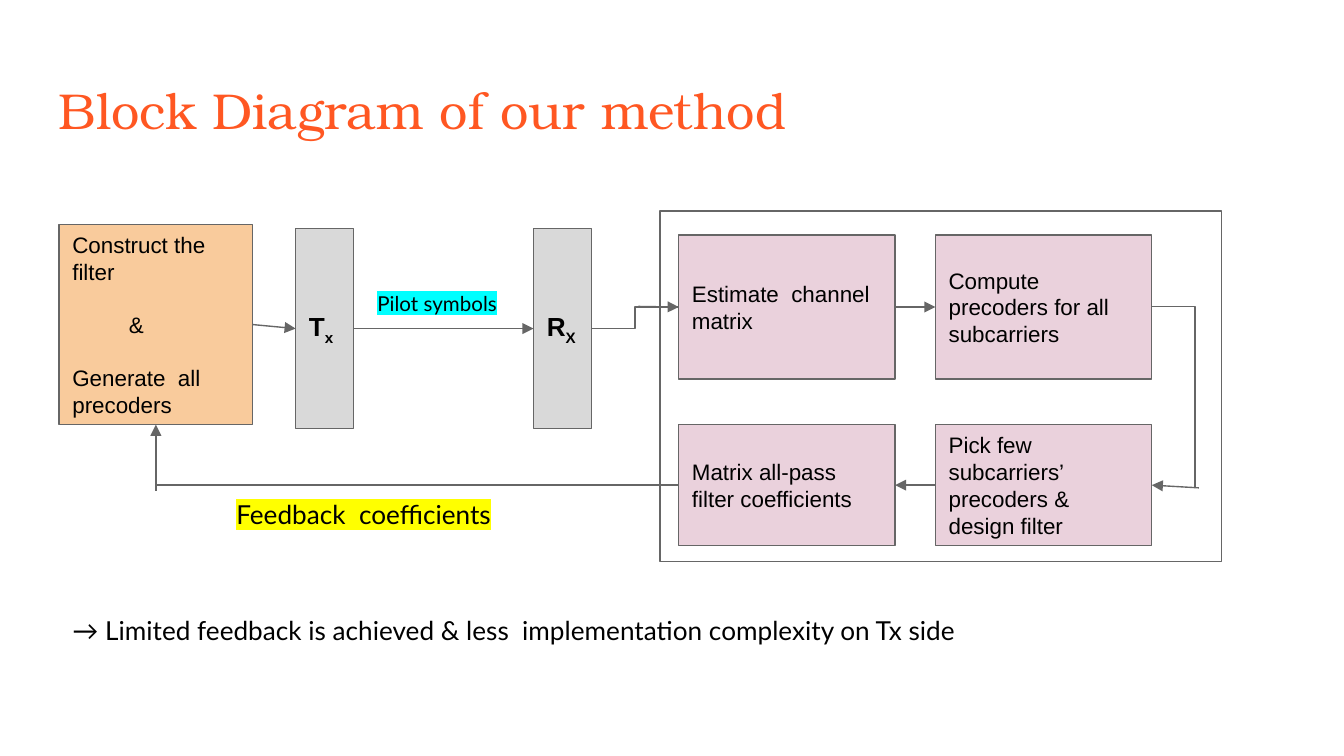
from dataclasses import dataclass

from lxml import etree
from pptx import Presentation
from pptx.dml.color import RGBColor
from pptx.enum.shapes import MSO_CONNECTOR as Connector, MSO_SHAPE as Shape
from pptx.enum.text import MSO_ANCHOR as Anchor, MSO_AUTO_SIZE as AutoSize, PP_ALIGN as Align
from pptx.oxml.ns import qn
from pptx.util import Inches, Pt

TOP, LEFT, BOTTOM, RIGHT = range(4)


@dataclass(frozen=True)
class Theme:
    accent: str = "FF5722"
    ink: str = "000000"
    line: str = "666666"
    source: str = "F9CB9C"
    antenna: str = "D9D9D9"
    step: str = "EAD1DC"
    pilot: str = "00FFFF"
    feedback: str = "FFFF00"
    line_width: float = 0.75
    title_font: str = "TeX Gyre Bonum"
    block_font: str = "Arial"
    note_font: str = "Lato"
    title_size: int = 27
    large: int = 14
    block_size: int = 12
    small: int = 11


THEME = Theme()


def apply_format(target, values):
    for name, value in values.items():
        setattr(target, name, value)


def add_run(paragraph, text, font, size, color=THEME.ink, bold=False,
            highlight=None, baseline=None):
    run = paragraph.add_run()
    run.text = text
    apply_format(run.font, {"name": font, "size": Pt(size), "bold": bold})
    run.font.color.rgb = RGBColor.from_string(color)
    properties = run._r.get_or_add_rPr()
    if baseline:
        properties.set("baseline", str(baseline))
    if highlight:
        mark = etree.Element(qn("a:highlight"))
        etree.SubElement(mark, qn("a:srgbClr"), val=highlight)
        properties.find(qn("a:solidFill")).addnext(mark)


def set_frame(frame, anchor):
    margins = {f"margin_{side}": Inches(0.1)
               for side in ("left", "top", "right", "bottom")}
    apply_format(frame, {"word_wrap": True, "vertical_anchor": anchor, **margins})


def set_line(line):
    line.color.rgb = RGBColor.from_string(THEME.line)
    line.width = Pt(THEME.line_width)


def add_label(slide, box, text, font, size, **style):
    frame = slide.shapes.add_textbox(*map(Inches, box)).text_frame
    set_frame(frame, Anchor.TOP)
    frame.auto_size = AutoSize.SHAPE_TO_FIT_TEXT
    add_run(frame.paragraphs[0], text, font, size, **style)


def add_block(slide, box, fill=None, texts=()):
    block = slide.shapes.add_shape(Shape.RECTANGLE, *map(Inches, box))
    block.shadow.inherit = False
    set_line(block.line)
    if fill:
        block.fill.solid()
        block.fill.fore_color.rgb = RGBColor.from_string(fill)
    else:
        block.fill.background()
    frame = block.text_frame
    set_frame(frame, Anchor.MIDDLE)
    frame.paragraphs[0].alignment = Align.LEFT
    for index, text in enumerate(texts):
        paragraph = frame.add_paragraph() if index else frame.paragraphs[0]
        if index:
            apply_format(paragraph, {"alignment": Align.LEFT, "space_before": Pt(14)})
        add_run(paragraph, text, THEME.block_font, THEME.block_size)
    return block


def add_link(slide, start, end, arrow=True, kind=Connector.STRAIGHT):
    """Each end is a point (x, y) in inches or a pair (block, side)."""
    def is_point(spot):
        return isinstance(spot[0], (int, float))

    points = [Inches(value) for spot in (start, end)
              for value in (spot if is_point(spot) else (0, 0))]
    link = slide.shapes.add_connector(kind, *points)
    if not is_point(start):
        link.begin_connect(*start)
    if not is_point(end):
        link.end_connect(*end)
    set_line(link.line)
    properties = link.element.spPr
    if arrow:
        etree.SubElement(properties.find(qn("a:ln")), qn("a:tailEnd"), type="triangle")
    etree.SubElement(properties, qn("a:effectLst"))


def add_title(slide, box):
    add_label(slide, box, "Block Diagram of our method", THEME.title_font,
              THEME.title_size, color=THEME.accent)


def add_transmission(slide, box):
    """Filter source, transmitter and receiver; returns source and receiver."""
    left, top, width, height = box
    source = add_block(slide, (left, top, 1.44, height), THEME.source,
                       ("Construct the filter", "&", "Generate  all precoders"))
    source.text_frame.paragraphs[1]._p.get_or_add_pPr().set("marL", str(Inches(0.42)))
    antenna_width = 0.43
    antennas = []
    for x, letter, index in ((left + 1.76, "T", "x"),
                             (left + width - antenna_width, "R", "X")):
        antenna = add_block(slide, (x, top + 0.03, antenna_width, height), THEME.antenna)
        for text, baseline in ((letter, None), (index, -25000)):
            add_run(antenna.text_frame.paragraphs[0], text, THEME.block_font,
                    THEME.large, bold=True, baseline=baseline)
        antennas.append(antenna)
    transmitter, receiver = antennas
    add_link(slide, (source, RIGHT), (transmitter, LEFT))
    add_link(slide, (transmitter, RIGHT), (receiver, LEFT))
    add_label(slide, (left + 2.27, top + 0.4, 1.18, 0.39), "Pilot symbols",
              THEME.note_font, THEME.small, highlight=THEME.pilot)
    return source, receiver


def add_receiver_side(slide, box):
    """Four processing steps in a frame; returns the first and the last."""
    left, top, width, height = box
    add_block(slide, box)
    columns = (left + 0.14, left + 2.05)
    rows = ((top + 0.18, 1.07), (top + 1.59, 0.9))
    texts = (("Estimate  channel matrix", "Compute  precoders for all subcarriers"),
             ("Matrix all-pass filter coefficients",
              "Pick few subcarriers’ precoders & design filter"))
    (estimate, compute), (matrix, pick) = [
        [add_block(slide, (x, y, 1.61, row_height), THEME.step, (text,))
         for x, text in zip(columns, row_texts)]
        for (y, row_height), row_texts in zip(rows, texts)]
    add_link(slide, (estimate, RIGHT), (compute, LEFT))
    add_link(slide, (pick, LEFT), (matrix, RIGHT))

    # Turn from the upper row down to the lower row
    turn_x, upper_y, lower_y = left + 3.98, top + 0.71, top + 2.06
    builder = slide.shapes.build_freeform(Inches(left + 3.66), Inches(upper_y))
    builder.add_line_segments([(Inches(turn_x), Inches(upper_y)),
                               (Inches(turn_x), Inches(lower_y))], close=False)
    turn = builder.convert_to_shape()
    turn.shadow.inherit = False
    turn.fill.background()
    set_line(turn.line)
    add_link(slide, (turn_x + 0.03, lower_y), (pick, RIGHT))
    return estimate, matrix


def add_feedback(slide, box, matrix, source):
    left, top, width, height = box
    add_link(slide, (matrix, LEFT), (left, top), arrow=False)
    add_link(slide, (left, top + 0.04), (source, BOTTOM))
    add_label(slide, (left + 0.5, top, width, height), "Feedback  coefficients",
              THEME.note_font, THEME.large, highlight=THEME.feedback)


def add_conclusion(slide, box):
    add_label(slide, box,
              "→ Limited feedback is achieved & less  implementation complexity on Tx side",
              THEME.note_font, THEME.large)


def main():
    presentation = Presentation()
    # Widescreen, 16 to 9
    width = Inches(10)
    apply_format(presentation, {"slide_width": width, "slide_height": width * 9 // 16})
    slide = presentation.slides.add_slide(presentation.slide_layouts[6])

    add_title(slide, (0.34, 0.49, 9.32, 0.63))
    source, receiver = add_transmission(slide, (0.44, 1.67, 3.96, 1.49))
    estimate, matrix = add_receiver_side(slide, (4.91, 1.57, 4.18, 2.61))

    # Link from the receiver into its processing steps
    add_link(slide, (estimate, LEFT), (receiver, RIGHT), arrow=False, kind=Connector.ELBOW)
    add_link(slide, (4.75, 2.28), (estimate, LEFT))

    add_feedback(slide, (1.16, 3.61, 2.76, 0.44), matrix, source)
    add_conclusion(slide, (0.44, 4.47, 7.75, 0.44))
    presentation.save("out.pptx")


if __name__ == "__main__":
    main()
